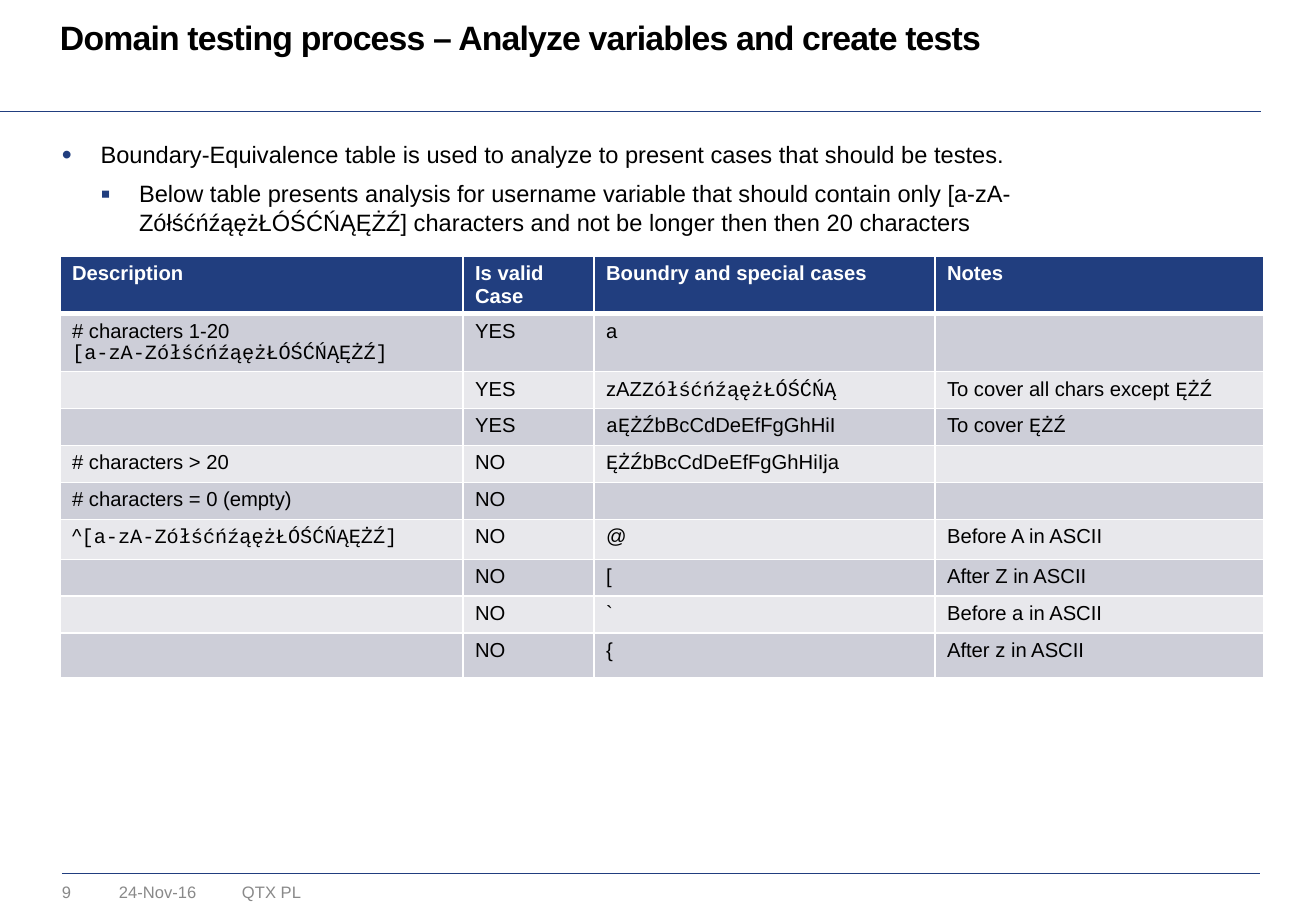
from lxml import etree
from pptx import Presentation
from pptx.dml.color import RGBColor
from pptx.enum.shapes import MSO_CONNECTOR
from pptx.enum.text import MSO_ANCHOR, MSO_AUTO_SIZE, PP_ALIGN
from pptx.oxml.ns import qn
from pptx.util import Emu, Pt

STRAIGHT = MSO_CONNECTOR.STRAIGHT
TOP = MSO_ANCHOR.TOP
LEFT = PP_ALIGN.LEFT
NO_AUTOFIT = MSO_AUTO_SIZE.NONE

EMU_PER_PX = 914400 / 121.5
COLORS = {
    "navy": "213E7F", "white": "FFFFFF", "black": "000000",
    "grey": "898989", "odd": "CDCED8", "even": "E8E8EC",
}
SANS, MONO = "Arial", "Courier New"
ALLOWED = "[a-zA-ZółśćńźąężŁÓŚĆŃĄĘŻŹ]"
LAST_THREE = ("ĘŻŹ", MONO)

TITLE = "Domain testing process – Analyze variables and create tests"
BULLETS = [
    ("•", "Boundary-Equivalence table is used to analyze to present cases "
          "that should be testes."),
    ("▪", f"Below table presents analysis for username variable that should contain only "
          f"{ALLOWED} characters and not be longer then then 20 characters"),
]
FOOTERS = [(62, 47, "9"), (119, 108, "24-Nov-16"), (242, 171, "QTX PL")]

COLUMN_WIDTHS = [403, 131, 341, 329]
ROW_HEIGHTS = [57, 58, 36, 37, 37, 35, 40, 35, 35, 45]
# A cell is a list of paragraphs; a paragraph is a list of runs;
# a run is plain text or a (text, font) pair.
ROWS = [
    [[["Description"]], [["Is valid Case"]], [["Boundry and special cases"]], [["Notes"]]],
    [[["# characters 1-20"], [(ALLOWED, MONO)]], [["YES"]], [["a"]], []],
    [[], [["YES"]], [["zAZ", ("ZółśćńźąężŁÓŚĆŃĄ", MONO)]],
     [["To cover all chars except ", LAST_THREE]]],
    [[], [["YES"]], [[("aĘŻŹ", MONO), "bBcCdDeEfFgGhHiI"]], [["To cover ", LAST_THREE]]],
    [[["# characters > 20"]], [["NO"]], [[LAST_THREE, "bBcCdDeEfFgGhHiIja"]], []],
    [[["# characters = 0 (empty)"]], [["NO"]], [], []],
    [[["^", (ALLOWED, MONO)]], [["NO"]], [["@"]], [["Before A in ASCII"]]],
    [[], [["NO"]], [["["]], [["After Z in ASCII"]]],
    [[], [["NO"]], [["`"]], [["Before a in ASCII"]]],
    [[], [["NO"]], [["{"]], [["After z in ASCII"]]],
]


def px(length):
    return Emu(round(length * EMU_PER_PX))


def rgb(name):
    return RGBColor.from_string(COLORS[name])


def add_run(para, text, size, color, font=SANS, bold=False):
    span = para.add_run()
    span.text = text
    span.font.name = font
    span.font.size = Pt(size)
    span.font.bold = bold
    span.font.color.rgb = rgb(color)
    return span


def place(shape, left, top, width, height):
    shape.left, shape.top = px(left), px(top)
    shape.width, shape.height = px(width), px(height)


def prepare_frame(frame):
    """Wrapped text from the top left corner, without insets."""
    frame.margin_left = frame.margin_right = frame.margin_top = frame.margin_bottom = 0
    frame.auto_size = NO_AUTOFIT
    frame.vertical_anchor = TOP
    frame.word_wrap = True
    return frame


def add_rule(slide, left, right, y):
    rule = slide.shapes.add_connector(STRAIGHT, px(left), px(y), px(right), px(y))
    rule.line.color.rgb = rgb("navy")
    rule.line.width = Pt(0.25)
    etree.SubElement(rule.element.spPr, qn("a:effectLst"))


def add_footer(slide, left, width, text):
    box = slide.shapes.add_textbox(px(left), px(882), px(width), px(20))
    add_run(prepare_frame(box.text_frame).paragraphs[0], text, 9.8, "grey")


def fill_title(title):
    place(title, 60, 21, 1206, 38)
    para = prepare_frame(title.text_frame).paragraphs[0]
    para.alignment = LEFT
    para.line_spacing = Pt(21.7)
    span = add_run(para, TITLE, 20, "black", bold=True)
    span.font._element.set("spc", "-50")


def set_bullet(para, char, indent, hanging):
    props = para._p.get_or_add_pPr()
    props.set("marL", str(px(indent)))
    props.set("indent", str(-px(hanging)))
    color = etree.SubElement(props, qn("a:buClr"))
    etree.SubElement(color, qn("a:srgbClr"), val=COLORS["navy"])
    etree.SubElement(props, qn("a:buSzPct"), val="120000")
    etree.SubElement(props, qn("a:buFont"), typeface=SANS)
    etree.SubElement(props, qn("a:buChar"), char=char)


def fill_body(body):
    place(body, 62, 140, 1205, 714)
    frame = prepare_frame(body.text_frame)
    for level, (char, text) in enumerate(BULLETS):
        para = frame.add_paragraph() if level else frame.paragraphs[0]
        para.level = level
        para.space_before = para.space_after = Pt(3.2)
        set_bullet(para, char, 38.5 * (level + 1), 38.5)
        add_run(para, text, 14, "black")


def set_borders(cell, widths):
    """Draw white borders; widths are points for left, right, top and bottom."""
    props = cell._tc.get_or_add_tcPr()
    for index, (side, width) in enumerate(zip("LRTB", widths)):
        border = etree.Element(qn(f"a:ln{side}"), w=str(Pt(width)))
        fill = etree.SubElement(border, qn("a:solidFill"))
        etree.SubElement(fill, qn("a:srgbClr"), val=COLORS["white"])
        props.insert(index, border)


def fill_cell(cell, paragraphs, row_index):
    header = row_index == 0
    cell.fill.solid()
    cell.fill.fore_color.rgb = rgb("navy" if header else "odd" if row_index % 2 else "even")
    set_borders(cell, (1, 1, 3 if row_index == 1 else 1, 3 if header else 1))
    frame = cell.text_frame
    for index, runs in enumerate(paragraphs):
        para = frame.add_paragraph() if index else frame.paragraphs[0]
        for run in runs:
            text, font = (run, SANS) if isinstance(run, str) else run
            add_run(para, text, 12, "white" if header else "black", font, header)
    if not paragraphs:
        etree.SubElement(frame.paragraphs[0]._p, qn("a:endParaRPr"), sz="1200")


def add_case_table(slide):
    frame = slide.shapes.add_table(len(ROWS), len(COLUMN_WIDTHS), px(60), px(256),
                                   px(sum(COLUMN_WIDTHS)), px(sum(ROW_HEIGHTS)))
    table = frame.table
    for column, width in zip(table.columns, COLUMN_WIDTHS):
        column.width = px(width)
    for row_index, (row, height) in enumerate(zip(table.rows, ROW_HEIGHTS)):
        row.height = px(height)
        for cell, paragraphs in zip(row.cells, ROWS[row_index]):
            fill_cell(cell, paragraphs, row_index)


def main():
    deck = Presentation()
    deck.slide_width, deck.slide_height = px(1316), px(911)
    slide = deck.slides.add_slide(deck.slide_layouts[1])
    add_rule(slide, 62, 1260, 873)
    add_rule(slide, 0, 1261, 111)
    for left, width, text in FOOTERS:
        add_footer(slide, left, width, text)
    fill_body(slide.placeholders[1])
    fill_title(slide.shapes.title)
    add_case_table(slide)
    deck.save("out.pptx")


if __name__ == "__main__":
    main()
